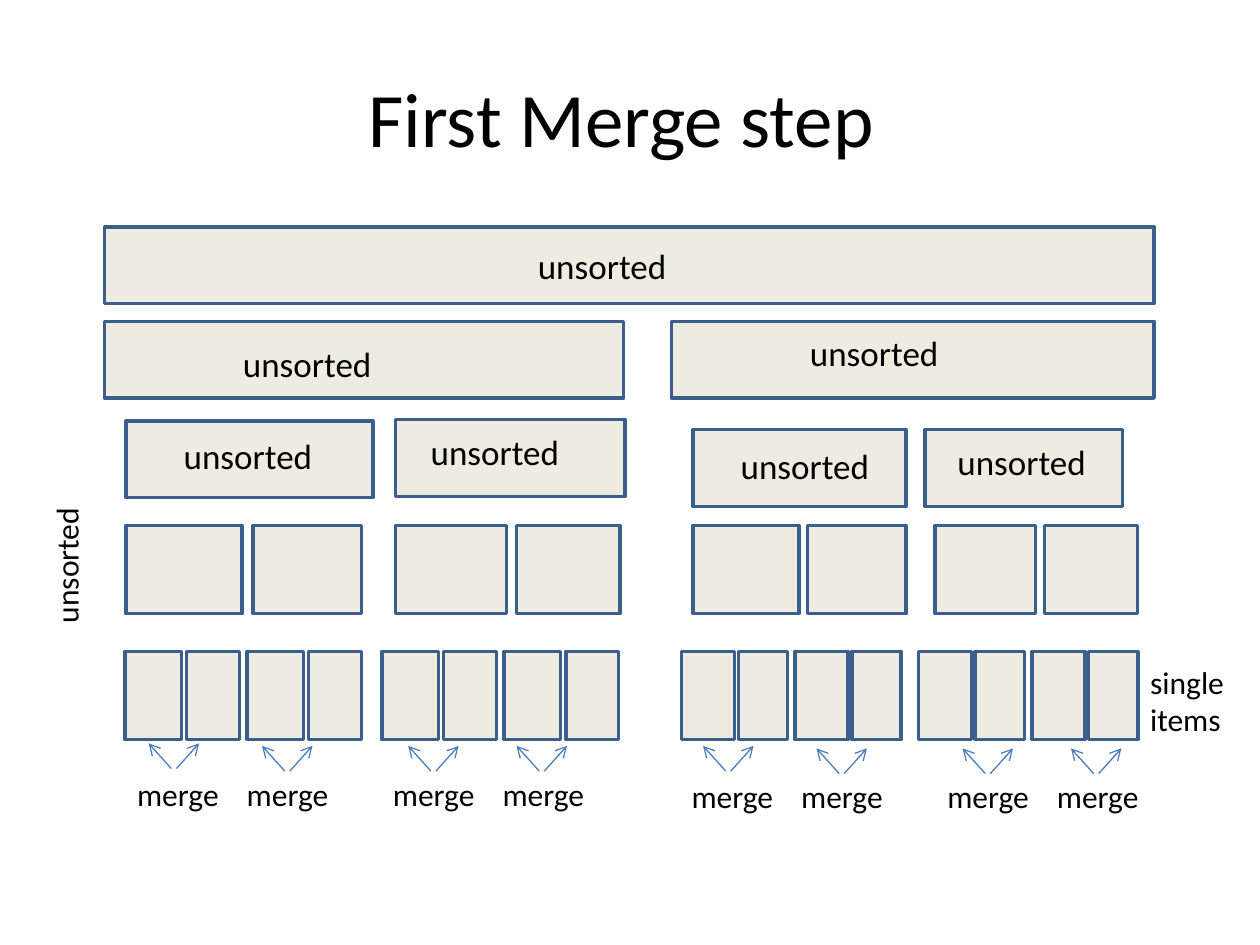
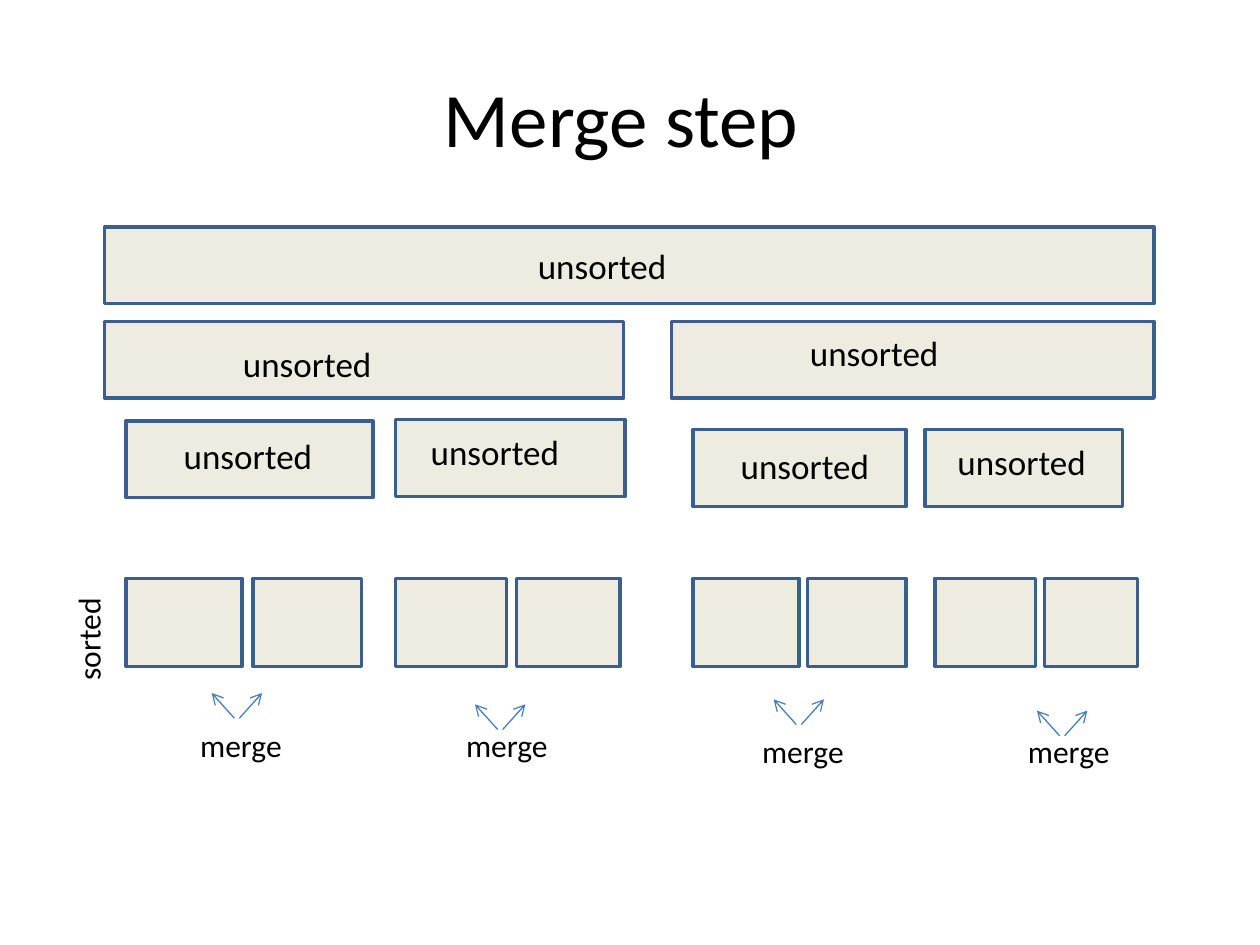
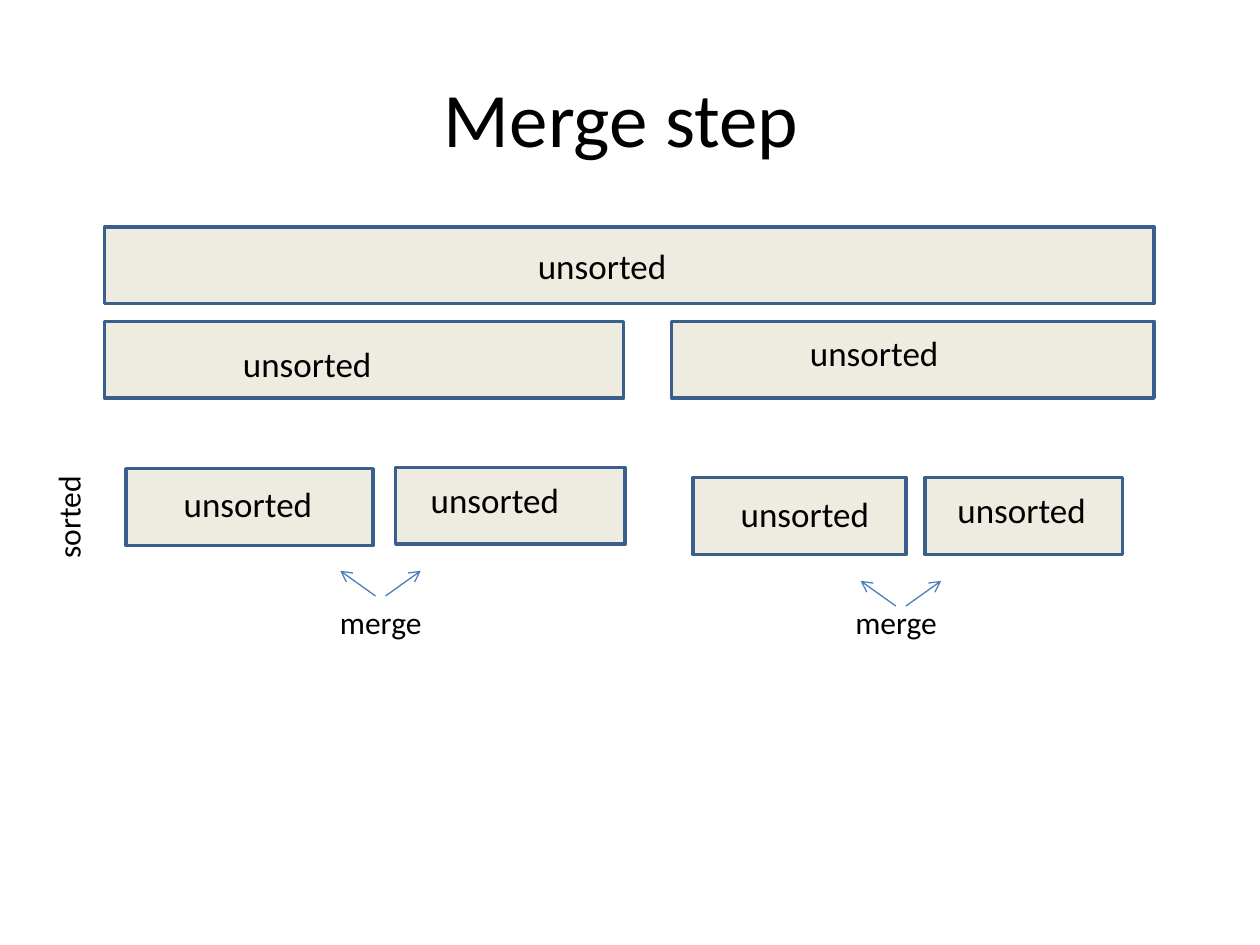
from lxml.etree import SubElement
from pptx import Presentation
from pptx.dml.color import RGBColor
from pptx.enum.shapes import MSO_CONNECTOR, MSO_SHAPE
from pptx.enum.text import MSO_ANCHOR, MSO_AUTO_SIZE, PP_ALIGN
from pptx.oxml.ns import qn
from pptx.util import Inches, Pt

BLACK = RGBColor(0x00, 0x00, 0x00)
BLOCK_FILL = RGBColor(0xEE, 0xEC, 0xE1)
BLOCK_LINE = RGBColor(0x3A, 0x5F, 0x8C)
ARROW_BLUE = RGBColor(0x4B, 0x7E, 0xBC)
FONT = "Calibri"

BAR_HEIGHT = 0.61
CELL_HEIGHT = 0.7
ARROW_HEIGHT = 0.2

# Bars: left, top, width, then left, top and width of the label.
WHOLE_AND_HALVES = [
    (0.83, 1.8, 8.33, 4.17, 1.89, 1.58),
    (0.83, 2.55, 4.12, 1.83, 2.67, 1.58),
    (5.33, 2.55, 3.83, 6.33, 2.58, 1.58),
]
QUARTERS = [
    (1, 3.34, 1.96, 1.36, 3.4, 1.64),
    (3.14, 3.33, 1.82, 3.32, 3.37, 1.64),
    (5.5, 3.41, 1.69, 5.78, 3.48, 1.64),
    (7.34, 3.41, 1.57, 7.5, 3.45, 1.42),
]
# Cells: left and width.
EIGHTHS = [(1, 0.92), (2.01, 0.86), (3.14, 0.88), (4.1, 0.82),
           (5.5, 0.84), (6.41, 0.78), (7.42, 0.8), (8.29, 0.74)]
# Pairs of single items: left edges, step within a pair, the two widths.
SINGLE_PAIRS = [
    ((0.99, 1.96, 3.03, 4), 0.49, (0.45, 0.42)),
    ((5.41, 6.31, 7.29, 8.19), 0.45, (0.42, 0.39)),
]


def add_text(slide, text, left, top, width, height, size=18, wrap=True):
    box = slide.shapes.add_textbox(
        Inches(left), Inches(top), Inches(width), Inches(height))
    frame = box.text_frame
    frame.word_wrap = wrap
    frame.auto_size = MSO_AUTO_SIZE.SHAPE_TO_FIT_TEXT
    paragraph = frame.paragraphs[0]
    paragraph.text = text
    for run in paragraph.runs:
        run.font.name = FONT
        run.font.size = Pt(size)
        run.font.color.rgb = BLACK
    return box


def add_title(slide, text):
    frame = add_text(slide, text, 0.5, 0.3, 9, 1.25, size=44).text_frame
    frame.auto_size = MSO_AUTO_SIZE.NONE
    frame.vertical_anchor = MSO_ANCHOR.MIDDLE
    frame.paragraphs[0].alignment = PP_ALIGN.CENTER


def add_block(slide, left, top, width, height):
    block = slide.shapes.add_shape(
        MSO_SHAPE.RECTANGLE,
        Inches(left), Inches(top), Inches(width), Inches(height))
    block.shadow.inherit = False
    block.fill.solid()
    block.fill.fore_color.rgb = BLOCK_FILL
    block.line.color.rgb = BLOCK_LINE
    block.line.width = Pt(2)


def add_unsorted_bars(slide, bars, shift=0):
    for left, top, width, text_left, text_top, text_width in bars:
        add_block(slide, left, top + shift, width, BAR_HEIGHT)
        add_text(slide, "unsorted", text_left, text_top + shift, text_width, 0.44, size=20)


def add_eighths(slide, top):
    for left, width in EIGHTHS:
        add_block(slide, left, top, width, CELL_HEIGHT)


def add_single_items(slide, top):
    for pair_lefts, step, widths in SINGLE_PAIRS:
        for pair_left in pair_lefts:
            for index, width in enumerate(widths):
                add_block(slide, pair_left + index * step, top, width, CELL_HEIGHT)


def add_side_label(slide, text, left, top, width):
    """Add a label that reads upwards beside a row."""
    add_text(slide, text, left, top, width, 0.4, wrap=False).rotation = 270


def add_merge_labels(slide, left, top, width, tab_stops):
    """Add one line of "merge" words, each after the first at a tab stop."""
    text = "\t".join(["merge"] * (len(tab_stops) + 1))
    box = add_text(slide, text, left, top, width, 0.4)
    properties = box.text_frame.paragraphs[0]._p.get_or_add_pPr()
    tab_list = SubElement(properties, qn("a:tabLst"))
    for stop in tab_stops:
        SubElement(tab_list, qn("a:tab"), pos=str(Inches(stop)), algn="l")


def add_arrow(slide, start_x, start_y, end_x, end_y):
    arrow = slide.shapes.add_connector(
        MSO_CONNECTOR.STRAIGHT,
        Inches(start_x), Inches(start_y), Inches(end_x), Inches(end_y))
    arrow.line.color.rgb = ARROW_BLUE
    arrow.line.width = Pt(0.75)
    SubElement(arrow.line._get_or_add_ln(), qn("a:tailEnd"), type="arrow")
    SubElement(arrow._element.spPr, qn("a:effectLst"))


def add_merge_arrows(slide, center, bottom, gap=0.02, reach=0.2):
    """Add two arrows that spread upwards from a merge label."""
    for side in (-1, 1):
        add_arrow(slide, center + side * gap, bottom,
                  center + side * reach, bottom - ARROW_HEIGHT)


def add_step_slide(presentation, title):
    slide = presentation.slides.add_slide(presentation.slide_layouts[6])
    add_title(slide, title)
    add_unsorted_bars(slide, WHOLE_AND_HALVES)
    return slide


def add_single_item_step(presentation):
    slide = add_step_slide(presentation, "First Merge step ")
    add_unsorted_bars(slide, QUARTERS)
    add_eighths(slide, 4.17)
    add_single_items(slide, 5.17)
    add_side_label(slide, "unsorted", -0.04, 4.28, 1.13)
    add_text(slide, "single\vitems", 9.03, 5.21, 0.85, 0.71, wrap=False)
    for right, down in ((0, 0), (4.4, 0.02)):
        add_merge_labels(slide, 0.99 + right, 6.1 + down, 3.94, (0.87, 2.03, 2.9))
        for center, bottom in ((1.38, 6.1), (2.28, 6.12), (3.44, 6.12), (4.3, 6.12)):
            add_merge_arrows(slide, center + right, bottom + down)


def add_eighths_step(presentation):
    slide = add_step_slide(presentation, "Merge step ")
    add_unsorted_bars(slide, QUARTERS)
    add_eighths(slide, 4.59)
    add_side_label(slide, "sorted", 0.27, 4.87, 0.86)
    for right, down in ((0, 0), (4.46, 0.05)):
        add_merge_labels(slide, 1.49 + right, 5.71 + down, 3.88, (2.11,))
        for center, bottom in ((1.88, 5.7), (3.97, 5.79)):
            add_merge_arrows(slide, center + right, bottom + down)


def add_quarters_step(presentation):
    slide = add_step_slide(presentation, "Merge step ")
    add_unsorted_bars(slide, QUARTERS, shift=0.38)
    add_side_label(slide, "sorted", 0.11, 3.9, 0.86)
    add_merge_labels(slide, 2.6, 4.74, 5.73, (4.09,))
    for center, bottom in ((3.02, 4.73), (7.15, 4.81)):
        add_merge_arrows(slide, center, bottom, gap=0.04, reach=0.32)


def main():
    presentation = Presentation()
    presentation.slide_width = Inches(10)
    presentation.slide_height = Inches(7.5)
    add_single_item_step(presentation)
    add_eighths_step(presentation)
    add_quarters_step(presentation)
    presentation.save("out.pptx")


if __name__ == "__main__":
    main()
